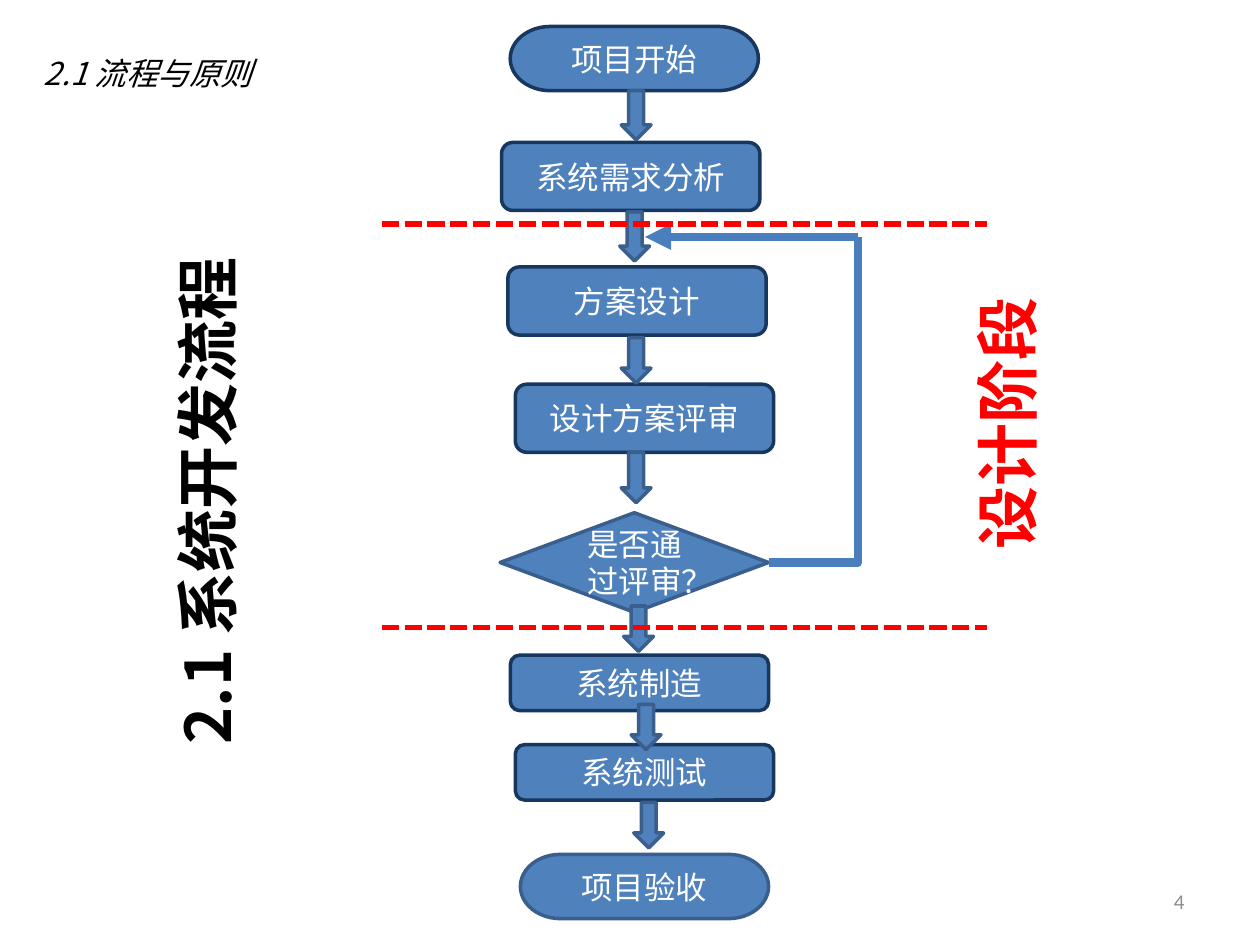
from dataclasses import dataclass

from pptx import Presentation
from pptx.dml.color import RGBColor
from pptx.enum.dml import MSO_LINE
from pptx.enum.shapes import MSO_CONNECTOR as CONN, MSO_SHAPE as SHAPE
from pptx.enum.text import MSO_ANCHOR as ANCHOR, PP_ALIGN as ALIGN
from pptx.oxml.ns import qn
from pptx.util import Pt


@dataclass(frozen=True)
class Theme:
    fill: str = "4F81BD"
    dark_edge: str = "17375E"
    edge: str = "3A5F8C"
    loop: str = "4B7EBC"
    accent: str = "FF0000"
    ink: str = "000000"
    paper: str = "FFFFFF"
    muted: str = "8C8C8C"
    latin: str = "Calibri"
    cjk: str = "Noto Sans CJK SC"
    heading: int = 36
    body: int = 18
    small: int = 12


T = Theme()


def rgb(code):
    return RGBColor.from_string(code)


def place(sp, x, y, w, h):
    sp.left, sp.top, sp.width, sp.height = Pt(x), Pt(y), Pt(w), Pt(h)


def write(sp, text, size=T.body, color=T.ink, font=T.cjk, bold=False,
          italic=False, align=ALIGN.LEFT, spacing=None):
    tf = sp.text_frame
    tf.word_wrap = True
    tf.vertical_anchor = ANCHOR.MIDDLE
    p = tf.paragraphs[0]
    p.alignment = align
    if spacing:
        p.line_spacing = spacing
    r = p.add_run()
    r.text = text
    f = r.font
    f.size, f.name, f.bold, f.italic = Pt(size), font, bold, italic
    f.color.rgb = rgb(color)
    ea = r._r.get_or_add_rPr().makeelement(qn("a:ea"), {"typeface": T.cjk})
    r._r.rPr.find(qn("a:latin")).addnext(ea)


def add_text(s, box, text, **fmt):
    sp = s.shapes.add_textbox(*map(Pt, box))
    write(sp, text, **fmt)
    return sp


def add_node(s, kind, box, edge, text=None):
    sp = s.shapes.add_shape(kind, *map(Pt, box))
    sp.shadow.inherit = False
    sp.fill.solid()
    sp.fill.fore_color.rgb = rgb(T.fill)
    sp.line.color.rgb = rgb(edge)
    sp.line.width = Pt(2)
    if text:
        write(sp, text, color=T.paper, font=T.latin, align=ALIGN.CENTER)
    return sp


def add_line(s, start, end, color, width, kind=CONN.STRAIGHT):
    line = s.shapes.add_connector(kind, *map(Pt, (*start, *end)))
    line.line.color.rgb = rgb(color)
    line.line.width = Pt(width)
    pr = line._element.spPr
    pr.append(pr.makeelement(qn("a:effectLst"), {}))
    return line


def headings(s, x, y):
    # Vertical slide title and the section label above it
    title = s.shapes.title
    place(title, x - 67, y + 202.2, 323.3, 90)
    title.rotation = 270
    write(title, "2.1 系统开发流程", size=T.heading, bold=True, spacing=1.25)
    add_text(s, (x, y, 211.7, 36), "2.1 流程与原则", italic=True)


def flow(s, x, y):
    # Steps: shape, offset, size, edge, label
    terminal, step, small = (141.8, 36.7), (147.6, 38.9), (147.6, 31.7)
    end, card = SHAPE.FLOWCHART_TERMINATOR, SHAPE.ROUNDED_RECTANGLE
    steps = [
        (end, (6.6, 0.1), terminal, T.dark_edge, "项目开始"),
        (card, (1.6, 66.4), step, T.dark_edge, "系统需求分析"),
        (card, (5.2, 137.6), step, T.dark_edge, "方案设计"),
        (card, (9.5, 204.6), step, T.dark_edge, "设计方案评审"),
        (SHAPE.FLOWCHART_DECISION, (0.8, 278), (153.4, 56.9), T.edge,
         "是否通过评审？"),
        (card, (6.6, 359.4), small, T.dark_edge, "系统制造"),
        (card, (9.5, 410.5), small, T.dark_edge, "系统测试"),
        (end, (12.4, 473.2), terminal, T.edge, "项目验收"),
    ]
    for kind, (dx, dy), size, edge, label in steps:
        add_node(s, kind, (x + dx, y + dy, *size), edge, label)

    # Down arrows between steps
    arrows = [(70, 36.8, 28.1), (69.2, 106, 28.1), (70, 178, 25.9),
              (70, 243.5, 28.8), (71.4, 331.3, 25.9), (75.7, 387.5, 25.9),
              (77.2, 443.6, 25.9)]
    for dx, dy, h in arrows:
        add_node(s, SHAPE.DOWN_ARROW, (x + dx, y + dy, 17, h), T.edge)

    # Loop back from the review to the design step
    corner = (x + 205.3, y + 120.4)
    bend = add_line(s, (x + 154.2, y + 306.4), corner, T.loop, 5, CONN.ELBOW)
    bend._element.spPr.find(qn("a:prstGeom")).set("prst", "bentConnector2")
    back = add_line(s, corner, (x + 83.6, corner[1]), T.loop, 5)
    ln = back.line._get_or_add_ln()
    ln.append(ln.makeelement(qn("a:tailEnd"), {"type": "triangle"}))


def design_stage(s, x, y, w, h):
    # Dashed limits of the stage and its vertical name
    for edge_y in (y, y + h):
        line = add_line(s, (x, edge_y), (x + w, edge_y), T.accent, 3.25)
        line.line.dash_style = MSO_LINE.SQUARE_DOT
    name = add_text(s, (x + 267.1, y + 63.3, 169.2, 90), "设计阶段",
                    size=T.heading, color=T.accent, bold=True, spacing=1.25)
    name.rotation = 270


def page_number(s, box):
    add_text(s, box, "4", size=T.small, color=T.muted, font=T.latin,
             align=ALIGN.RIGHT)


def main():
    prs = Presentation()
    prs.slide_width, prs.slide_height = Pt(720), Pt(540)
    s = prs.slides.add_slide(prs.slide_layouts[5])
    headings(s, 18, 23.8)
    flow(s, 285, 15)
    design_stage(s, 218.2, 128.2, 345.6, 230.4)
    page_number(s, (516.2, 500.4, 167.8, 28.8))
    prs.save("out.pptx")


if __name__ == "__main__":
    main()
